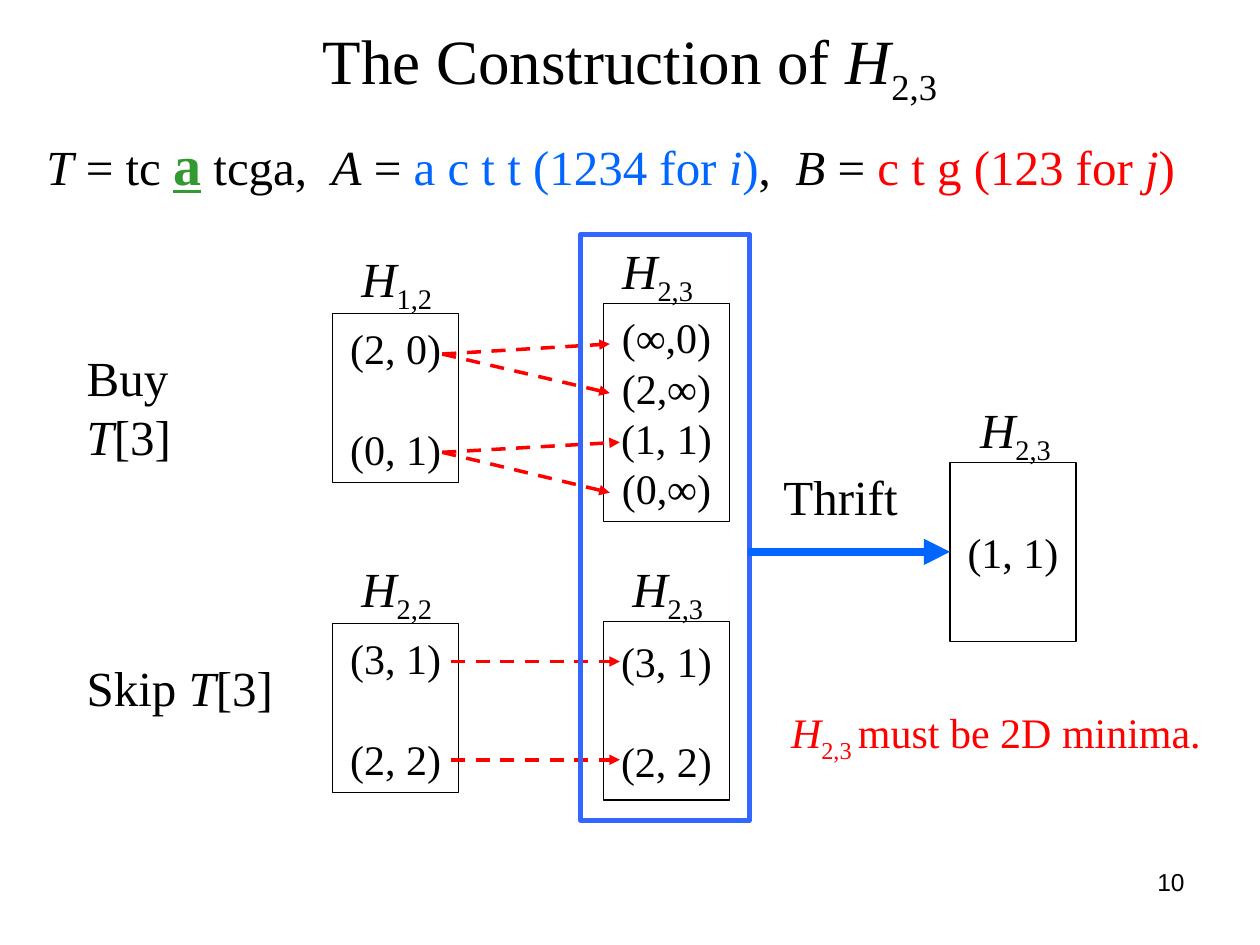
from lxml import etree
from pptx import Presentation
from pptx.dml.color import RGBColor
from pptx.enum.dml import MSO_LINE
from pptx.enum.shapes import MSO_CONNECTOR, MSO_SHAPE
from pptx.enum.text import MSO_ANCHOR, MSO_AUTO_SIZE, PP_ALIGN
from pptx.oxml.ns import qn
from pptx.util import Pt

PX = 9144  # EMU per px, 100 px to the inch
BLACK = RGBColor(0x00, 0x00, 0x00)
WHITE = RGBColor(0xFF, 0xFF, 0xFF)
RED = RGBColor(0xFF, 0x00, 0x00)
GREEN = RGBColor(0x33, 0x99, 0x33)
BLUE = RGBColor(0x00, 0x66, 0xFF)
FRAME_BLUE = RGBColor(0x33, 0x66, 0xFF)
SERIF, SANS = "Times New Roman", "Arial"
RECT, STRAIGHT, DASH = MSO_SHAPE.RECTANGLE, MSO_CONNECTOR.STRAIGHT, MSO_LINE.DASH
LEFT, CENTER, RIGHT = PP_ALIGN.LEFT, PP_ALIGN.CENTER, PP_ALIGN.RIGHT
MIDDLE, GROW = MSO_ANCHOR.MIDDLE, MSO_AUTO_SIZE.SHAPE_TO_FIT_TEXT
TITLE_ONLY = 5
LINE, SUB_LINE = 1.2, 1.37  # line pitch per font size, without and with subscripts


class Builder:
    """Holds the text style and the current slide."""

    def __init__(self, slide, font=SERIF):
        self.slide, self.font = slide, font

    def emu(self, *lengths):
        return [n * PX for n in lengths]

    def fill_paragraph(self, p, runs, size, color=BLACK, align=LEFT, font=None):
        """Each run is (text, flags, colour, size); flags: i, b, u, s (subscript)."""
        p.alignment = align
        p.font.name, p.font.size = font or self.font, Pt(size)
        p.font.color.rgb = color
        for text, flags, *look in runs:
            r = p.add_run()
            r.text = text
            if "i" in flags:
                r.font.italic = True
            if "b" in flags:
                r.font.bold = True
            if "u" in flags:
                r.font.underline = True
            if "s" in flags:
                r._r.get_or_add_rPr().set("baseline", "-25000")
            if look:
                r.font.color.rgb = look[0]
            if look[1:]:
                r.font.size = Pt(look[1])

    def title(self, box, runs):
        s = self.slide.shapes.title
        s.left, s.top, s.width, s.height = self.emu(*box)
        s.text_frame.vertical_anchor = MIDDLE
        self.fill_paragraph(s.text_frame.paragraphs[0], runs, 36, align=CENTER)

    def text(self, box, runs, size=28, pitch=LINE, grow=True, **style):
        tf = self.slide.shapes.add_textbox(*self.emu(*box)).text_frame
        tf.word_wrap = True
        if grow:
            tf.auto_size = GROW
        p = tf.paragraphs[0]
        self.fill_paragraph(p, runs, size, **style)
        p.line_spacing = Pt(size * pitch)

    def rect(self, box, line, width, fill=None):
        s = self.slide.shapes.add_shape(RECT, *self.emu(*box))
        s.shadow.inherit = False
        if fill is None:
            s.fill.background()
        else:
            s.fill.solid()
            s.fill.fore_color.rgb = fill
        s.line.color.rgb, s.line.width = line, Pt(width)
        return s

    def state(self, box, label, label_at, pairs, gap=0):
        """A box of value pairs under its H label; gap is points between pairs."""
        s = self.rect(box, BLACK, 0.75, WHITE)
        tf = s.text_frame
        tf.word_wrap, tf.vertical_anchor = False, MIDDLE
        for i, pair in enumerate(pairs):
            p = tf.add_paragraph() if i else tf.paragraphs[0]
            self.fill_paragraph(p, [(pair, "")], 24, align=CENTER)
            p.line_spacing = Pt(24 * LINE)
            if i and gap:
                p.space_before = Pt(gap)
        self.text((*label_at, 87, 63), [("H", "i"), (label, "s")], pitch=SUB_LINE)
        return s

    def arrow(self, start, end, color, width, dash=None):
        c = self.slide.shapes.add_connector(STRAIGHT, *self.emu(*start, *end))
        c.line.color.rgb, c.line.width = color, Pt(width)
        if dash:
            c.line.dash_style = dash
        etree.SubElement(c.line._get_or_add_ln(), qn("a:tailEnd"), type="triangle")
        etree.SubElement(c._element.spPr, qn("a:effectLst"))
        return c


def main():
    prs = Presentation()
    prs.slide_width, prs.slide_height = 1000 * PX, 750 * PX
    b = Builder(prs.slides.add_slide(prs.slide_layouts[TITLE_ONLY]))

    # Title and the given sequences
    b.title((50, 13, 900, 77), [("The Construction of ", ""), ("H", "i"), ("2,3", "s")])
    b.text((27, 98, 937, 64), [
        ("T", "i"), (" = tc ", ""), ("a", "bu", GREEN, 32), (" tcga,  ", ""),
        ("A", "i"), (" = ", ""),
        ("a c t t (1234 for ", "", BLUE), ("i", "i", BLUE), (")", "", BLUE),
        (",  ", ""), ("B", "i"), (" = ", ""),
        ("c t g (123 for ", "", RED), ("j", "i", RED), (")", "", RED),
    ], pitch=SUB_LINE)

    # Row labels
    for box, verb in (((59, 271, 157, 104), "Buy "), ((59, 517, 173, 57), "Skip ")):
        b.text(box, [(verb, ""), ("T", "i"), ("[3]", "")])

    # States before and after each choice, and the final state
    blank = 24 * LINE
    b.state((264, 249, 100, 134), "1,2", (277, 192), ["(2, 0)", "(0, 1)"], blank)
    b.state((479, 241, 100, 173), "2,3", (484, 186),
            ["(∞,0)", "(2,∞)", "(1, 1)", "(0,∞)"])
    b.state((264, 495, 100, 134), "2,2", (277, 438), ["(3, 1)", "(2, 2)"], blank)
    b.state((479, 493, 100, 142), "2,3", (492, 438), ["(3, 1)", "(2, 2)"], blank)
    final = b.state((754, 367, 100, 142), "2,3", (768, 312), ["(1, 1)"])

    # Transitions
    for start, end in (
        ((351, 281), (484, 273)), ((351, 281), (484, 312)),
        ((351, 359), (492, 351)), ((351, 359), (484, 391)),
        ((358, 525), (492, 525)), ((358, 603), (492, 603)),
    ):
        b.arrow(start, end, RED, 2, DASH)

    # Thrift step
    b.rect((461, 186, 134, 465), FRAME_BLUE, 3)
    b.arrow((594, 438), (752, 438), BLUE, 5).end_connect(final, 1)
    b.text((603, 365, 149, 57), [(" Thrift", "")])

    # Remark and page number
    b.text((618, 556, 354, 56),
           [("H", "i"), ("2,3 ", "s"), ("must be 2D minima.", "")],
           size=24, pitch=SUB_LINE, color=RED)
    b.text((717, 683, 233, 52), [("10", "")], size=14, grow=False,
           align=RIGHT, font=SANS)

    prs.save("out.pptx")


if __name__ == "__main__":
    main()
